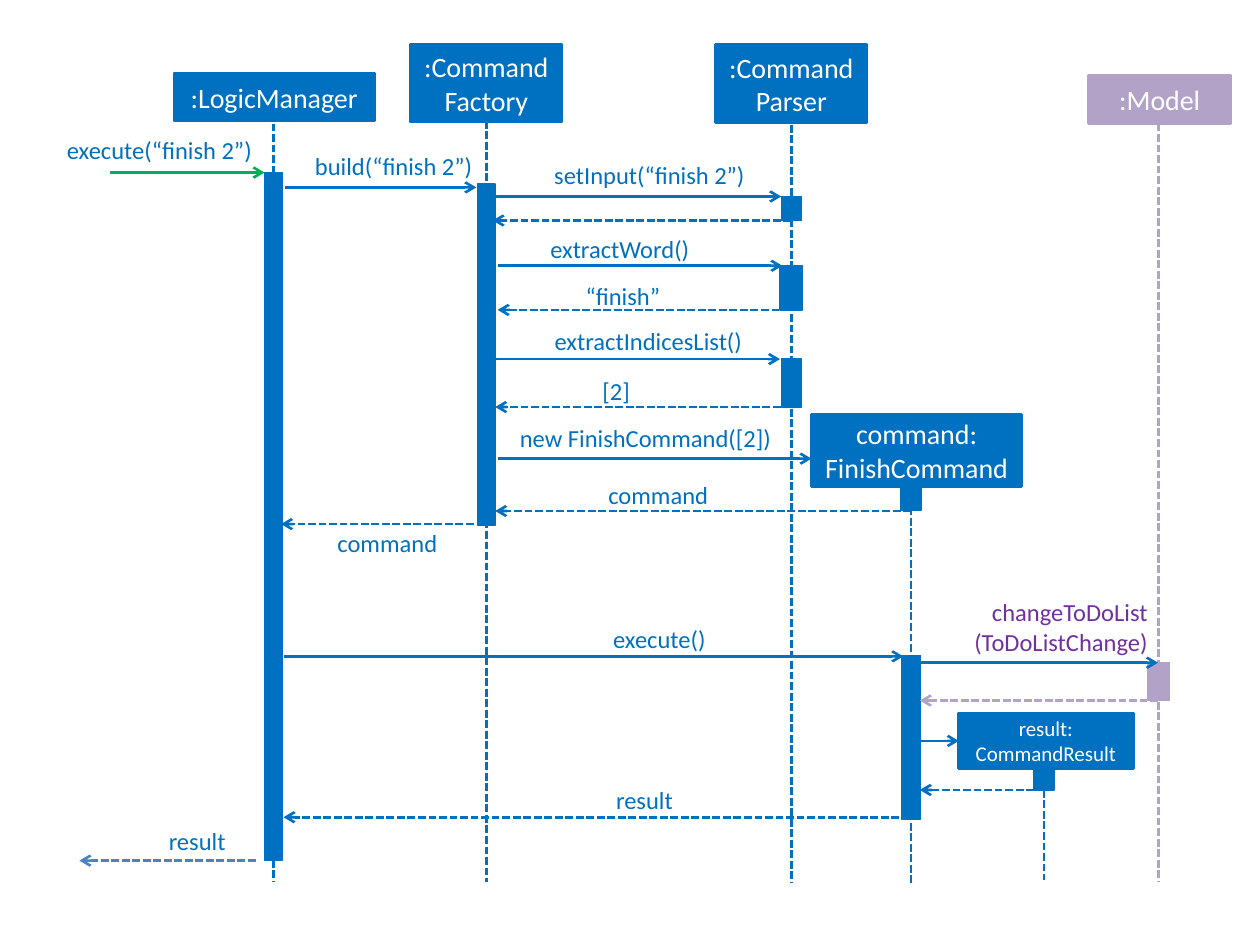
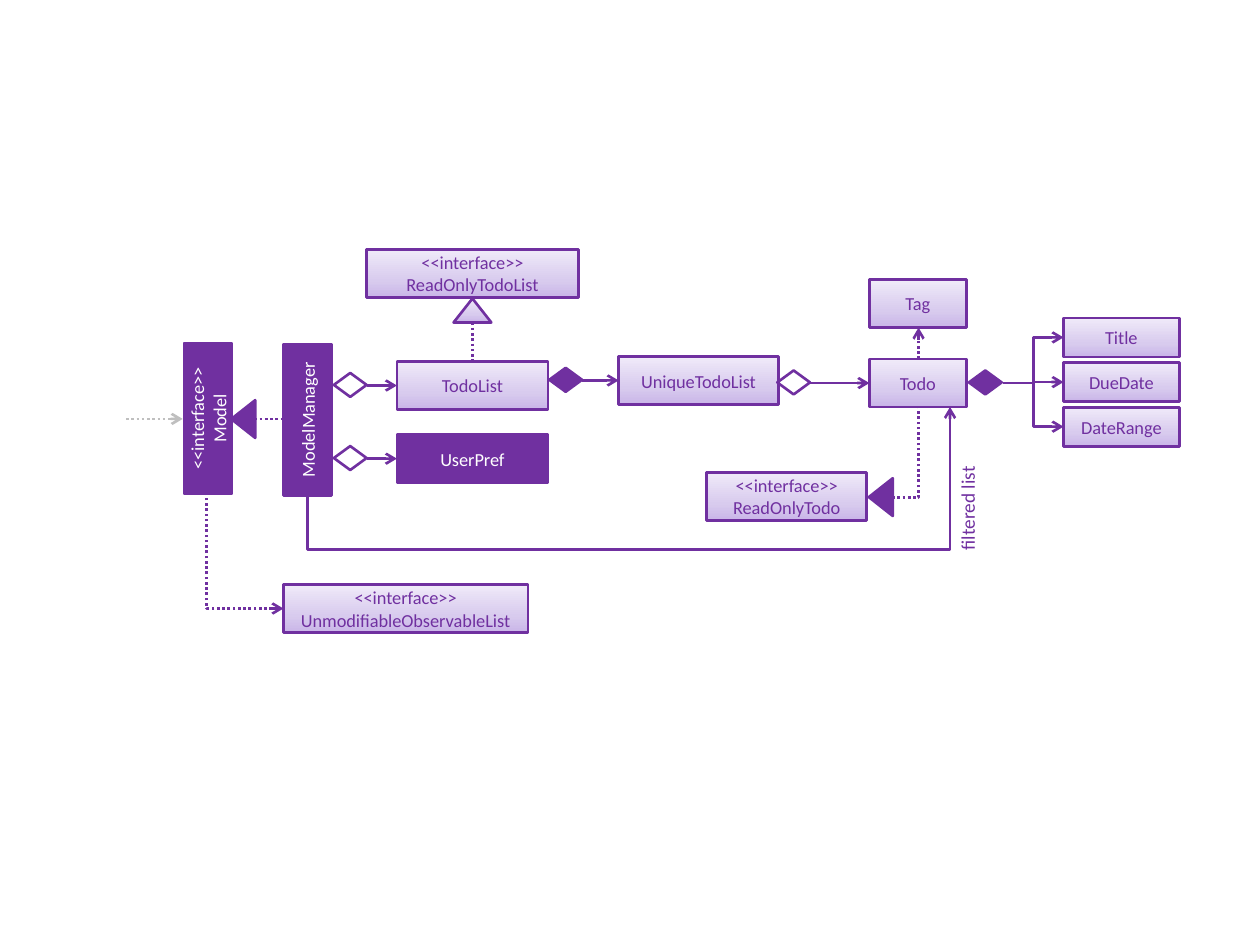
from copy import deepcopy
from dataclasses import dataclass

from pptx import Presentation
from pptx.dml.color import RGBColor
from pptx.enum import dml, shapes, text
from pptx.oxml import ns, xmlchemy
from pptx.util import Pt

FONT = "Calibri"
WHITE = RGBColor(0xFF, 0xFF, 0xFF)
BLUE = RGBColor(0x00, 0x70, 0xC0)
STEEL = RGBColor(0x4F, 0x81, 0xBD)
GREEN = RGBColor(0x00, 0xB0, 0x50)
PURPLE = RGBColor(0x70, 0x30, 0xA0)
LILAC = RGBColor(0xB3, 0xA2, 0xC7)
GREY = RGBColor(0xBF, 0xBF, 0xBF)
PALE = [(0, RGBColor(0xC9, 0xB5, 0xE8)), (0.35, RGBColor(0xD8, 0xCB, 0xEE)),
        (1, RGBColor(0xF0, 0xEA, 0xF9))]

DASHES = dml.MSO_LINE.SQUARE_DOT
DOTS = dml.MSO_LINE.ROUND_DOT
RECTANGLE = shapes.MSO_SHAPE.RECTANGLE
TRIANGLE = shapes.MSO_SHAPE.ISOSCELES_TRIANGLE
DIAMOND = shapes.MSO_SHAPE.FLOWCHART_DECISION
STRAIGHT = shapes.MSO_CONNECTOR.STRAIGHT
ELBOW = shapes.MSO_CONNECTOR.ELBOW


@dataclass
class Region:
    """A box on a slide; parts are placed in points from its corner."""
    slide: object
    left: float
    top: float

    def point(self, x, y):
        return Pt(self.left + x), Pt(self.top + y)


# ---- Shared parts ----
def write(shape, caption, size, color, align):
    frame = shape.text_frame
    frame.word_wrap = True
    frame.text = caption
    for paragraph in frame.paragraphs:
        paragraph.alignment = align
        for run in paragraph.runs:
            run.font.name, run.font.size = FONT, Pt(size)
            run.font.color.rgb = color


def fill_pale(shape):
    shape.fill.gradient()
    shape.fill.gradient_angle = 90
    stops = shape._element.spPr.find(ns.qn("a:gradFill")).find(ns.qn("a:gsLst"))
    stops.insert(1, deepcopy(stops[0]))
    for stop, (position, color) in zip(shape.fill.gradient_stops, PALE):
        stop.position = position
        stop.color.rgb = color


def add_block(region, x, y, width, height, fill, line, kind=RECTANGLE,
              weight=1.5, rotation=0):
    shape = region.slide.shapes.add_shape(
        kind, *region.point(x, y), Pt(width), Pt(height))
    shape.shadow.inherit = False
    shape.rotation = rotation
    if fill is None:
        shape.fill.background()
    elif fill is PALE:
        fill_pale(shape)
    else:
        shape.fill.solid()
        shape.fill.fore_color.rgb = fill
    shape.line.color.rgb = line
    shape.line.width = Pt(weight)
    return shape


def add_label(region, caption, x, y, width, height, size, color, align):
    label = region.slide.shapes.add_textbox(
        *region.point(x, y), Pt(width), Pt(height))
    write(label, caption, size, color, align)
    label.text_frame.auto_size = text.MSO_AUTO_SIZE.SHAPE_TO_FIT_TEXT
    return label


def add_line(region, start, end, color, dash=None, arrow="tailEnd", kind=STRAIGHT):
    line = region.slide.shapes.add_connector(
        kind, *region.point(*start), *region.point(*end))
    line.line.color.rgb = color
    line.line.width = Pt(1.5)
    if dash:
        line.line.dash_style = dash
    if arrow:
        head = xmlchemy.OxmlElement(f"a:{arrow}")
        head.set("type", "arrow")
        line.line._ln.append(head)
    line._element.spPr.append(xmlchemy.OxmlElement("a:effectLst"))
    return line


def add_corner(region, start, end, arrow):
    """Dotted line that runs sideways first, then up."""
    line = add_line(region, start, end, PURPLE, DOTS, arrow, ELBOW)
    line._element.spPr.prstGeom.set("prst", "bentConnector2")


def add_trough(region, start, end, bottom):
    """Line that goes down to bottom, across, and up to an arrowhead."""
    (x1, y1), (x2, y2) = start, end
    rise, run = y1 - y2, x2 - x1
    middle_x, middle_y = (x1 + x2) / 2, (y1 + y2) / 2
    line = add_line(region, (middle_x + rise / 2, middle_y + run / 2),
                    (middle_x - rise / 2, middle_y - run / 2), PURPLE, kind=ELBOW)
    properties = line._element.spPr
    properties.xfrm.set("rot", str(90 * 60000))
    guide = xmlchemy.OxmlElement("a:gd")
    guide.set("name", "adj1")
    guide.set("fmla", f"val {round((y1 - bottom) / rise * 100000)}")
    properties.prstGeom.get_or_add_avLst().append(guide)


# ---- Sequence diagram ----
# caption, head box, size, colour, axis x, axis start and end, bars (top, height, width)
LIFELINES = [
    (":LogicManager", (99.4, 41.8, 114.5, 27.4), 16, BLUE, 156.2, 70.6, 504,
     [(98.6, 393.1, 10.1)]),
    (":CommandFactory", (234.7, 25.2, 86.4, 44.6), 16, BLUE, 277.9, 69.1, 504,
     [(105.1, 195.1, 10.1)]),
    (":CommandParser", (409, 25.6, 86.4, 44.6), 16, BLUE, 452.2, 71.3, 504,
     [(112.3, 13.7, 11.5), (151.9, 25.2, 13), (205.2, 27.4, 11.5)]),
    (":Model", (622, 43.2, 81.4, 27.4), 16, LILAC, 662.2, 70.6, 504,
     [(378.7, 21.6, 12.2)]),
    ("command:\nFinishCommand", (463.7, 236.9, 120.2, 41), 16, BLUE, 520.6, 277.9, 506,
     [(277.9, 13.7, 11.5), (374.4, 93.6, 10.8)]),
    ("result:\nCommandResult", (547.6, 407.5, 100.1, 31.7), 12, BLUE, 596.6, 451.4, 503,
     [(437.8, 13.7, 11.5)]),
]
# start x, end x, y, colour
CALLS = [
    (62.6, 151.2, 98.6, GREEN), (162.7, 272.2, 107.1, BLUE), (283.7, 446.4, 112.3, BLUE),
    (284.4, 447.1, 151.9, BLUE), (283, 445.7, 205.2, BLUE), (284.4, 463.7, 262.1, BLUE),
    (162, 516.2, 375.1, BLUE), (526.3, 661.7, 378.7, BLUE), (526.3, 547.9, 423.4, BLUE),
]
RETURNS = [
    (452.2, 281.5, 126, BLUE), (451.4, 284.4, 177.1, BLUE), (452.2, 283, 232.6, BLUE),
    (520.6, 283, 292, BLUE), (270.7, 160.6, 299.5, BLUE), (661.7, 525.6, 400.3, LILAC),
    (596.9, 525.6, 451.4, BLUE), (519.8, 162, 467, BLUE), (146.2, 45.4, 491.8, STEEL),
]
# caption, left, top, width, colour
CAPTIONS = [
    ("execute(“finish 2”)", 0, 77, 144, BLUE),
    ("build(“finish 2”)", 157.7, 86.4, 112.3, BLUE),
    ("setInput(“finish 2”)", 293.8, 91.4, 131.8, BLUE),
    ("extractWord()", 262.1, 133.9, 131.8, BLUE),
    ("“finish”", 245.5, 160.6, 131.8, BLUE),
    ("extractIndicesList()", 292.3, 186.5, 131.8, BLUE),
    ("[2]", 328.3, 214.6, 31.7, BLUE),
    ("new FinishCommand([2])", 275.8, 241.9, 164.9, BLUE),
    ("command", 239.8, 274.3, 164.9, BLUE),
    ("command", 85, 301.7, 164.9, BLUE),
    ("execute()", 238.3, 356.4, 164.9, BLUE),
    ("changeToDoList\n(ToDoListChange)", 540.7, 341.3, 115.2, PURPLE),
    ("result", 344.9, 448.6, 39.6, BLUE),
    ("result", 69.1, 472.3, 59.8, BLUE),
]


def draw_sequence(region):
    # Lifelines with their heads and activation bars
    for caption, box, size, color, axis, start, end, bars in LIFELINES:
        head = add_block(region, *box, color, color)
        write(head, caption, size, WHITE, text.PP_ALIGN.CENTER)
        add_line(region, (axis, start), (axis, end), color, DASHES, arrow=None)
        for top, height, width in bars:
            add_block(region, axis - width / 2, top, width, height, color, color,
                      weight=0.75)
    # Messages
    for messages, dash in ((CALLS, None), (RETURNS, DASHES)):
        for start, end, y, color in messages:
            add_line(region, (start, y), (end, y), color, dash)
    # Message captions
    for caption, left, top, width, color in CAPTIONS:
        height = 17 * len(caption.split("\n"))
        label = add_label(region, caption, left, top, width, height, 14, color,
                          text.PP_ALIGN.RIGHT)
        frame = label.text_frame
        frame.margin_left = frame.margin_right = frame.margin_top = frame.margin_bottom = 0


# ---- Class diagram ----
CLASS_HEIGHT = 27.4
FIELD_LEFT, FIELD_TOP, FIELD_STEP, FIELD_HEIGHT = 535.7, 39.2, 25.5, 22.3
FIELDS = ["Title", "DueDate", "DateRange"]
# caption, left, top, width, fill, rotation
CLASSES = [
    ("UserPref", 154.8, 105.9, 86.4, PURPLE, 0),
    ("ModelManager", 60.5, 83.6, 86.4, PURPLE, 270),
    ("<<interface>>\nModel", 3.6, 82.9, 86.4, PURPLE, 270),
    ("TodoList", 154.8, 64.1, 86.4, PALE, 0),
    ("UniqueTodoList", 281.5, 61.3, 91.4, PALE, 0),
    ("Todo", 424.8, 62.7, 55.4, PALE, 0),
    ("Tag", 424.8, 17.3, 55.4, PALE, 0),
    ("<<interface>>\vReadOnlyTodo", 331.9, 127.5, 91.4, PALE, 0),
    ("<<interface>>\vReadOnlyTodoList", 137.5, 0, 121, PALE, 0),
    ("<<interface>>\vUnmodifiableObservableList", 90, 191.6, 139.7, PALE, 0),
]
# left, top, fill, rotation
TRIANGLES = [(56.2, 90.1, PURPLE, 270), (420.5, 134.7, PURPLE, 270), (187.2, 28.1, PALE, 0)]
# left, top, fill
DIAMONDS = [(118.8, 112.4, None), (118.8, 70.6, None), (241.9, 67.7, PURPLE),
            (372.2, 69.2, None), (481.7, 69.2, PURPLE)]
# start, end, colour, dash, arrow
LINKS = [
    ((137.5, 119.6), (154.8, 119.6), PURPLE, None, "tailEnd"),
    ((137.5, 77.8), (154.8, 77.8), PURPLE, None, "tailEnd"),
    ((260.6, 74.9), (281.5, 74.9), PURPLE, None, "tailEnd"),
    ((391, 76.4), (424.8, 76.4), PURPLE, None, "tailEnd"),
    ((0, 96.9), (32.4, 96.9), GREY, DOTS, "tailEnd"),
    ((73.4, 96.9), (90.7, 96.9), PURPLE, DOTS, None),
    ((452.9, 62.7), (452.9, 44.7), PURPLE, DOTS, "tailEnd"),
    ((198, 41.8), (198, 64.1), PURPLE, DOTS, None),
]


def add_class(region, caption, x, y, width, height, fill, rotation=0):
    block = add_block(region, x, y, width, height, fill, PURPLE, rotation=rotation)
    color = PURPLE if fill is PALE else WHITE
    write(block, caption, 10.5, color, text.PP_ALIGN.CENTER)


def draw_classes(region):
    # Links between classes
    for link in LINKS:
        add_line(region, *link)
    add_corner(region, (437.8, 141.9), (452.9, 90.1), arrow=None)
    add_corner(region, (90, 205.3), (46.1, 139.7), arrow="headEnd")
    add_trough(region, (103.7, 139.7), (470.9, 90.1), bottom=171.4)
    # Classes
    for caption, x, y, width, fill, rotation in CLASSES:
        add_class(region, caption, x, y, width, CLASS_HEIGHT, fill, rotation)
    # Fields of a todo
    for index, caption in enumerate(FIELDS):
        y = FIELD_TOP + index * FIELD_STEP
        add_class(region, caption, FIELD_LEFT, y, 66.2, FIELD_HEIGHT, PALE)
        add_line(region, (501.1, 76.4), (FIELD_LEFT, y + FIELD_HEIGHT / 2), PURPLE,
                 kind=ELBOW)
    # Inheritance and aggregation marks
    for x, y, fill, rotation in TRIANGLES:
        add_block(region, x, y, 21.6, 13.7, fill, PURPLE, TRIANGLE, rotation=rotation)
    for x, y, fill in DIAMONDS:
        add_block(region, x, y, 18.7, 13.7, fill, PURPLE, DIAMOND)
    # Caption of the long link
    label = add_label(region, "filtered list", 446.4, 134, 69.1, 20.9, 11, PURPLE,
                      text.PP_ALIGN.LEFT)
    label.rotation = 270


presentation = Presentation()
presentation.slide_width, presentation.slide_height = Pt(720), Pt(540)
blank = presentation.slide_layouts[6]
draw_sequence(Region(presentation.slides.add_slide(blank), 0, 0))
draw_classes(Region(presentation.slides.add_slide(blank), 72, 142.5))
presentation.save("out.pptx")
